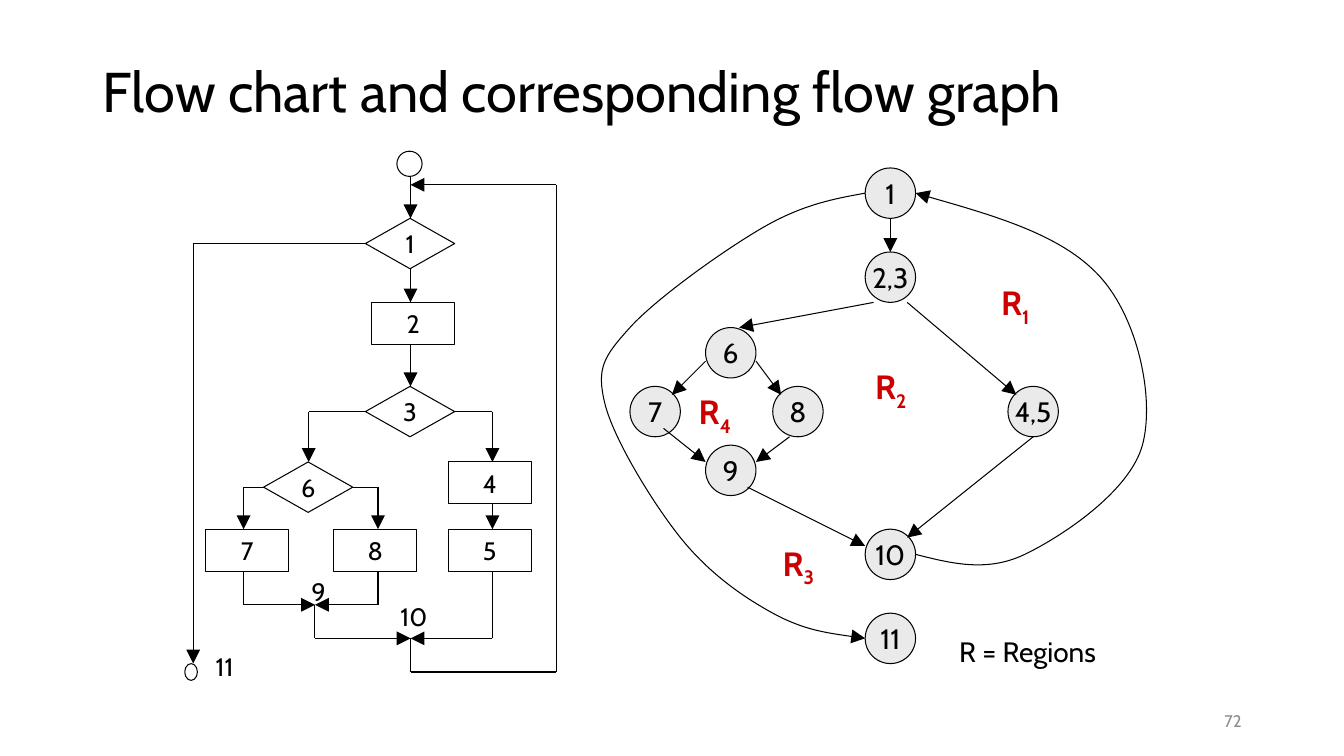
from dataclasses import dataclass

from lxml import etree
from pptx import Presentation
from pptx.dml.color import RGBColor
from pptx.enum.shapes import MSO_CONNECTOR, MSO_SHAPE
from pptx.enum.text import MSO_ANCHOR, MSO_AUTO_SIZE, PP_ALIGN
from pptx.oxml.ns import qn
from pptx.util import Pt

PX = 9525  # EMU in one px, 96 px to the inch
TITLE_ONLY = 5
STRAIGHT = MSO_CONNECTOR.STRAIGHT
OVAL, DIAMOND, RECT = MSO_SHAPE.OVAL, MSO_SHAPE.DIAMOND, MSO_SHAPE.RECTANGLE
LEFT, CENTER, RIGHT = PP_ALIGN.LEFT, PP_ALIGN.CENTER, PP_ALIGN.RIGHT
TOP, MIDDLE = MSO_ANCHOR.TOP, MSO_ANCHOR.MIDDLE
FIXED_SIZE = MSO_AUTO_SIZE.NONE


@dataclass(frozen=True)
class Theme:
    font: str = "Cabin"
    ink: str = "000000"
    paper: str = "FFFFFF"
    node: str = "EAEAEA"
    region: str = "CC0000"
    muted: str = "8C8C8C"
    title_size: int = 40
    region_size: int = 24
    graph_size: int = 20
    chart_size: int = 18
    page_size: int = 12
    line: float = 0.75


class Diagram:
    """Draws on one slide; shapes go to the current layer."""

    def __init__(self, slide, theme):
        self.slide, self.theme = slide, theme
        self.layer = slide.shapes

    def start_group(self):
        self.layer = self.slide.shapes.add_group_shape().shapes

    def end_group(self):
        self.layer = self.slide.shapes

    def set_text(self, frame, text, size, color=None, align=LEFT, anchor=TOP,
                 wrap=True, subscript=""):
        frame.word_wrap, frame.vertical_anchor = wrap, anchor
        paragraph = frame.paragraphs[0]
        paragraph.alignment = align
        for part in filter(None, (text, subscript)):
            run = paragraph.add_run()
            run.text = part
            run.font.name, run.font.size = self.theme.font, Pt(size)
            run.font.color.rgb = RGBColor.from_string(color or self.theme.ink)
            run.font.bold = bool(subscript)
        if subscript:
            run.font._element.set("baseline", "-25000")
        return paragraph

    def title(self, text, box):
        holder = self.slide.shapes.title
        holder.left, holder.top, holder.width, holder.height = (v * PX for v in box)
        holder.text_frame.auto_size = FIXED_SIZE
        paragraph = self.set_text(holder.text_frame, text, self.theme.title_size, anchor=MIDDLE)
        paragraph.line_spacing = 0.9

    def label(self, text, box, size, **style):
        frame = self.layer.add_textbox(*(v * PX for v in box)).text_frame
        self.set_text(frame, text, size, **style)

    def outline(self, shape, arrow=False):
        shape.line.color.rgb = RGBColor.from_string(self.theme.ink)
        shape.line.width = Pt(self.theme.line)
        if arrow:
            etree.SubElement(shape.line._get_or_add_ln(), qn("a:tailEnd"),
                             type="triangle", w="lg", len="lg")

    def block(self, kind, box, text="", size=0, fill=None):
        shape = self.layer.add_shape(kind, *(v * PX for v in box))
        shape.shadow.inherit = False
        if fill:
            shape.fill.solid()
            shape.fill.fore_color.rgb = RGBColor.from_string(fill)
        else:
            shape.fill.background()
        self.outline(shape)
        if text:
            self.set_text(shape.text_frame, text, size, align=CENTER, anchor=MIDDLE, wrap=False)

    def route(self, *stops):
        """Straight legs through the stops, with an arrowhead on the last one."""
        for start, end in zip(stops, stops[1:]):
            leg = self.layer.add_connector(STRAIGHT, *(v * PX for v in start + end))
            self.outline(leg, arrow=end == stops[-1])
            etree.SubElement(leg._element.spPr, qn("a:effectLst"))

    def curve(self, *stops):
        """Smooth open curve through the stops, with an arrowhead at its end."""
        builder = self.layer.build_freeform(*(v * PX for v in stops[0]), scale=1.0)
        builder.add_line_segments([(x * PX, y * PX) for x, y in stops[1:]], close=False)
        shape = builder.convert_to_shape()
        shape.shadow.inherit = False
        shape.fill.background()
        self.outline(shape, arrow=True)
        origin = [min(axis) for axis in zip(*stops)]
        last = len(stops) - 1

        def handle(i, sign):
            before, here, after = stops[i - 1:i + 2]
            return [h + sign * (a - b) / 6 for b, h, a in zip(before, here, after)]

        def middle(a, b):
            return [(u + v) / 2 for u, v in zip(a, b)]

        for i, segment in enumerate(list(shape._element.iter(qn("a:lnTo")))):
            start, end = stops[i], stops[i + 1]
            leave = handle(i, 1) if i else middle(start, handle(1, -1))
            arrive = handle(i + 1, -1) if i + 1 < last else middle(leave, end)
            bezier = etree.Element(qn("a:cubicBezTo"))
            for point in (leave, arrive, end):
                x, y = (str(round((v - o) * PX)) for v, o in zip(point, origin))
                etree.SubElement(bezier, qn("a:pt"), x=x, y=y)
            segment.getparent().replace(segment, bezier)


def draw_flow_chart(diagram, theme):
    trunk, join, branch_7, branch_8, branch_4, loop, exit_x = 391, 300, 232, 360, 469, 530, 184
    diagram.block(OVAL, (176, 632, 12, 16))
    diagram.start_group()

    # Decisions, steps and the entry point
    diagram.block(OVAL, (378, 144, 24, 24), fill=theme.paper)
    for text, x, y in (("1", 348, 208), ("3", 348, 368), ("6", 251, 440)):
        diagram.block(DIAMOND, (x, y, 85, 48), text, theme.chart_size, theme.paper)
    for text, x, y in (("2", 354, 288), ("4", 427, 440), ("5", 427, 504),
                       ("7", 196, 504), ("8", 318, 504)):
        diagram.block(RECT, (x, y, 79, 40), text, theme.chart_size, theme.paper)

    # Control flow
    for top, bottom in ((168, 208), (256, 288), (328, 368)):
        diagram.route((trunk, top), (trunk, bottom))
    diagram.route((348, 392), (294, 392), (294, 440))
    diagram.route((433, 392), (branch_4, 392), (branch_4, 440))
    diagram.route((branch_4, 480), (branch_4, 504))
    for corner, branch in ((251, branch_7), (336, branch_8)):
        diagram.route((corner, 464), (branch, 464), (branch, 504))
        diagram.route((branch, 544), (branch, 576), (join, 576))
    diagram.route((join, 576), (join, 608), (trunk, 608))
    diagram.route((branch_4, 544), (branch_4, 608), (trunk, 608))
    diagram.route((trunk, 608), (trunk, 640), (loop, 640), (loop, 176), (trunk, 176))
    diagram.route((348, 232), (exit_x, 232), (exit_x, 632))

    # Junction numbers
    for text, x, y, width in (("9", 287, 544, 24), ("10", 372, 568, 61), ("11", 196, 616, 61)):
        diagram.label(text, (x, y, width, 38), theme.chart_size)
    diagram.end_group()


def draw_flow_graph(diagram, theme):
    diagram.start_group()

    # Long edges around the graph
    diagram.curve((824, 184), (728, 216), (600, 312), (576, 384),
                  (648, 512), (736, 584), (824, 608))
    diagram.curve((872, 528), (976, 528), (1088, 424), (1048, 264), (872, 184))

    # Nodes
    for text, x, y in (("1", 824, 160), ("2,3", 824, 240), ("10", 824, 504),
                       ("11", 824, 584), ("6", 672, 312), ("9", 672, 424),
                       ("8", 736, 368), ("4,5", 960, 368), ("7", 600, 368)):
        diagram.block(OVAL, (x, y, 48, 48), text, theme.graph_size, theme.node)

    # Straight edges
    for start, end in (((848, 208), (848, 240)), ((864, 288), (968, 376)),
                       ((832, 288), (704, 312)), ((672, 344), (640, 376)),
                       ((720, 344), (744, 376)), ((632, 408), (672, 440)),
                       ((752, 416), (720, 440)), ((712, 464), (824, 520)),
                       ((984, 416), (864, 512))):
        diagram.route(start, end)

    # Regions
    for number, x, y in (("1", 944, 264), ("2", 824, 344), ("3", 736, 512), ("4", 656, 368)):
        diagram.label("R", (x, y, 80, 48), theme.region_size,
                      color=theme.region, subscript=number)
    diagram.end_group()
    diagram.label("R = Regions", (904, 600, 153, 42), theme.graph_size, wrap=False)


def main():
    theme = Theme()
    deck = Presentation()
    deck.slide_width, deck.slide_height = 1280 * PX, 720 * PX
    diagram = Diagram(deck.slides.add_slide(deck.slide_layouts[TITLE_ONLY]), theme)
    diagram.title("Flow chart and corresponding flow graph", (88, 20, 1104, 139))
    draw_flow_chart(diagram, theme)
    draw_flow_graph(diagram, theme)
    diagram.label("72", (904, 667, 288, 38), theme.page_size,
                  color=theme.muted, align=RIGHT, anchor=MIDDLE)
    deck.save("out.pptx")


if __name__ == "__main__":
    main()
